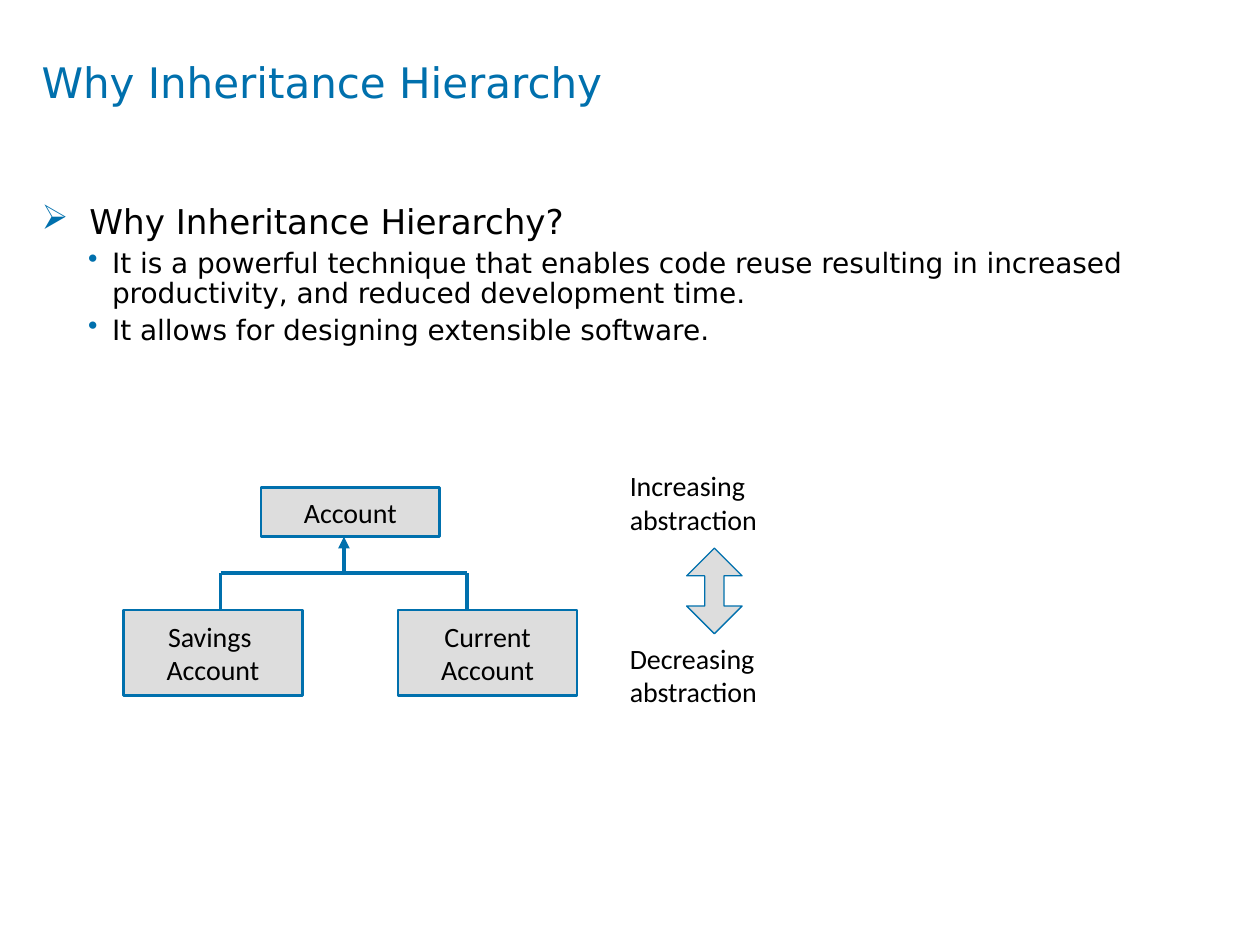
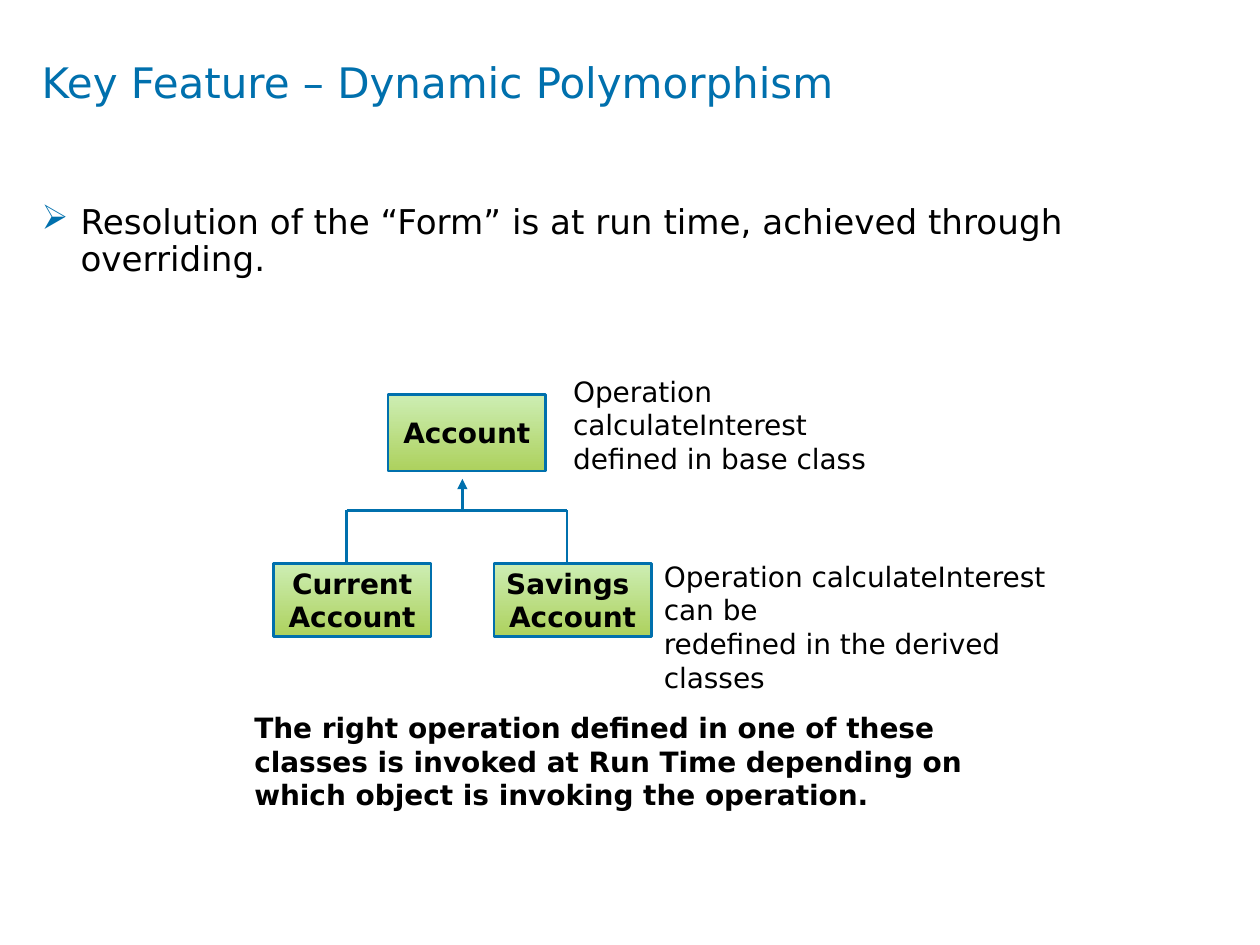
"""Build two slides on inheritance hierarchy and dynamic polymorphism."""
from lxml.etree import SubElement
from pptx import Presentation
from pptx.dml.color import RGBColor
from pptx.enum.shapes import MSO_CONNECTOR, MSO_SHAPE
from pptx.enum.text import MSO_ANCHOR, PP_ALIGN
from pptx.oxml.ns import qn
from pptx.util import Inches, Pt

COLORS = {"accent": "0070AD", "text": "000000", "gray": "DDDDDD",
          "light green": "CDEEB4", "green": "ADD15D"}
RGB = {name: RGBColor.from_string(value) for name, value in COLORS.items()}
TITLE = {"name": "DejaVu Sans", "size": Pt(24)}
POINT = {"name": "DejaVu Sans", "size": Pt(19.5)}
DETAIL = {"name": "DejaVu Sans", "size": Pt(16)}
STRONG = {**DETAIL, "bold": True}
PLAIN = {"name": "Calibri", "size": Pt(16)}


def write(frame, lines, style, color="text", margin=None, wrap=True):
    """Fill a text frame with one paragraph per line."""
    frame.word_wrap = wrap
    if margin is not None:
        for side in ("left", "top", "right", "bottom"):
            setattr(frame, f"margin_{side}", Inches(margin))
    for index, line in enumerate(lines):
        para = frame.add_paragraph() if index else frame.paragraphs[0]
        span = para.add_run()
        span.text = line
        span.font.color.rgb = RGB[color]
        for key, value in style.items():
            setattr(span.font, key, value)
    return frame.paragraphs


def add_figure(page, kind, place, line_width):
    """Add a preset shape with the shared outline."""
    figure = page.shapes.add_shape(kind, *map(Inches, place))
    figure.shadow.inherit = False
    figure.line.color.rgb = RGB["accent"]
    figure.line.width = Pt(line_width)
    return figure


PAGES = [
    {
        "title": "Why Inheritance Hierarchy",
        "points": [
            ("➢", 0.38, 0.38, POINT, "Why Inheritance Hierarchy?"),
            ("•", 0.56, 0.19, DETAIL, "It is a powerful technique that enables code reuse "
             "resulting in increased productivity, and reduced development time."),
            ("•", 0.56, 0.19, DETAIL, "It allows for designing extensible software."),
        ],
        "classes": [
            ((2.07, 3.87, 1.42, 0.39), ["Account"]),
            ((0.98, 4.84, 1.42, 0.68), ["Savings ", "Account"]),
            ((3.16, 4.84, 1.42, 0.68), ["Current", "Account"]),
        ],
        "class style": PLAIN, "fill": ["gray"], "margin": None, "wrap": False,
        "tree": {"left": 1.75, "right": 3.71, "stem": 2.73,
                 "tip": 4.26, "bar": 4.55, "foot": 4.84, "width": 2.25},
        "labels": [
            ((4.9, 5.04, 1.67, 0.75), PLAIN, ["Decreasing", "abstraction"]),
            ((4.9, 3.67, 1.67, 0.75), PLAIN, ["Increasing", "abstraction"]),
        ],
    },
    {
        "title": "Key Feature – Dynamic Polymorphism",
        "points": [
            ("➢", 0.31, 0.31, POINT,
             "Resolution of the “Form” is at run time, achieved through overriding."),
        ],
        "classes": [
            ((3.08, 3.13, 1.25, 0.61), ["Account"]),
            ((3.92, 4.47, 1.25, 0.58), ["Savings ", "Account"]),
            ((2.17, 4.47, 1.25, 0.58), ["Current Account"]),
        ],
        "class style": STRONG, "fill": ["light green", "green"], "margin": 0, "wrap": True,
        "tree": {"left": 2.75, "right": 4.5, "stem": 3.67,
                 "tip": 3.8, "bar": 4.05, "foot": 4.47, "width": 1.5},
        "labels": [
            ((4.45, 2.92, 2.88, 0.64), DETAIL,
             ["Operation calculateInterest", "defined in base class"]),
            ((5.17, 4.39, 3.62, 0.64), DETAIL,
             ["Operation calculateInterest can be", "redefined in the derived classes"]),
            ((1.92, 5.59, 6.17, 0.91), STRONG,
             ["The right operation defined in one of these classes is invoked at Run Time "
              "depending on which object is invoking the operation."]),
        ],
    },
]

deck = Presentation()
deck.slide_width, deck.slide_height = Inches(10), Inches(7.5)

for content in PAGES:
    page = deck.slides.add_slide(deck.slide_layouts[6])
    title = page.shapes.add_textbox(Inches(0.33), Inches(0.45), Inches(9.33), Inches(0.94))
    write(title.text_frame, [content["title"]], TITLE, "accent", margin=0)

    body = page.shapes.add_textbox(Inches(0.33), Inches(1.63), Inches(9.34), Inches(5.08))
    paras = write(body.text_frame, [point[-1] for point in content["points"]], DETAIL, margin=0)
    for para, (bullet, indent, hang, style, words) in zip(paras, content["points"]):
        props = para._p.get_or_add_pPr()
        props.set("marL", str(Inches(indent)))
        props.set("indent", str(-Inches(hang)))
        tint = SubElement(props, qn("a:buClr"))
        SubElement(tint, qn("a:srgbClr"), val=COLORS["accent"])
        SubElement(props, qn("a:buChar"), char=bullet)
        para.line_spacing = 0.9
        para.runs[0].font.size = style["size"]
        if style is DETAIL:
            para.level = 1
            para.space_before = Pt(3.8)

    for place, lines in content["classes"]:
        box = add_figure(page, MSO_SHAPE.RECTANGLE, place, 1.5)
        if len(content["fill"]) == 1:
            box.fill.solid()
            box.fill.fore_color.rgb = RGB[content["fill"][0]]
        else:
            box.fill.gradient()
            box.fill.gradient_angle = 270
            for stop, name in zip(box.fill.gradient_stops, content["fill"]):
                stop.color.rgb = RGB[name]
        box.text_frame.vertical_anchor = MSO_ANCHOR.MIDDLE
        for para in write(box.text_frame, lines, content["class style"],
                          margin=content["margin"], wrap=content["wrap"]):
            para.alignment = PP_ALIGN.CENTER

    tree = content["tree"]
    for start_x, start_y, end_x, end_y in [("left", "bar", "right", "bar"),
                                           ("left", "bar", "left", "foot"),
                                           ("right", "bar", "right", "foot"),
                                           ("stem", "bar", "stem", "tip")]:
        ends = [Inches(tree[key]) for key in (start_x, start_y, end_x, end_y)]
        branch = page.shapes.add_connector(MSO_CONNECTOR.STRAIGHT, *ends)
        branch.line.color.rgb = RGB["accent"]
        branch.line.width = Pt(tree["width"])
        if end_y == "tip":
            SubElement(branch.line._get_or_add_ln(), qn("a:tailEnd"), type="triangle")
        SubElement(branch._element.spPr, qn("a:effectLst"))

    for place, style, lines in content["labels"]:
        label = page.shapes.add_textbox(*map(Inches, place))
        write(label.text_frame, lines, style)

scale = add_figure(deck.slides[0], MSO_SHAPE.UP_DOWN_ARROW, (5.45, 4.35, 0.44, 0.68), 0.75)
scale.fill.solid()
scale.fill.fore_color.rgb = RGB["gray"]
scale.adjustments[0], scale.adjustments[1] = 0.5, 0.35

deck.save("out.pptx")
